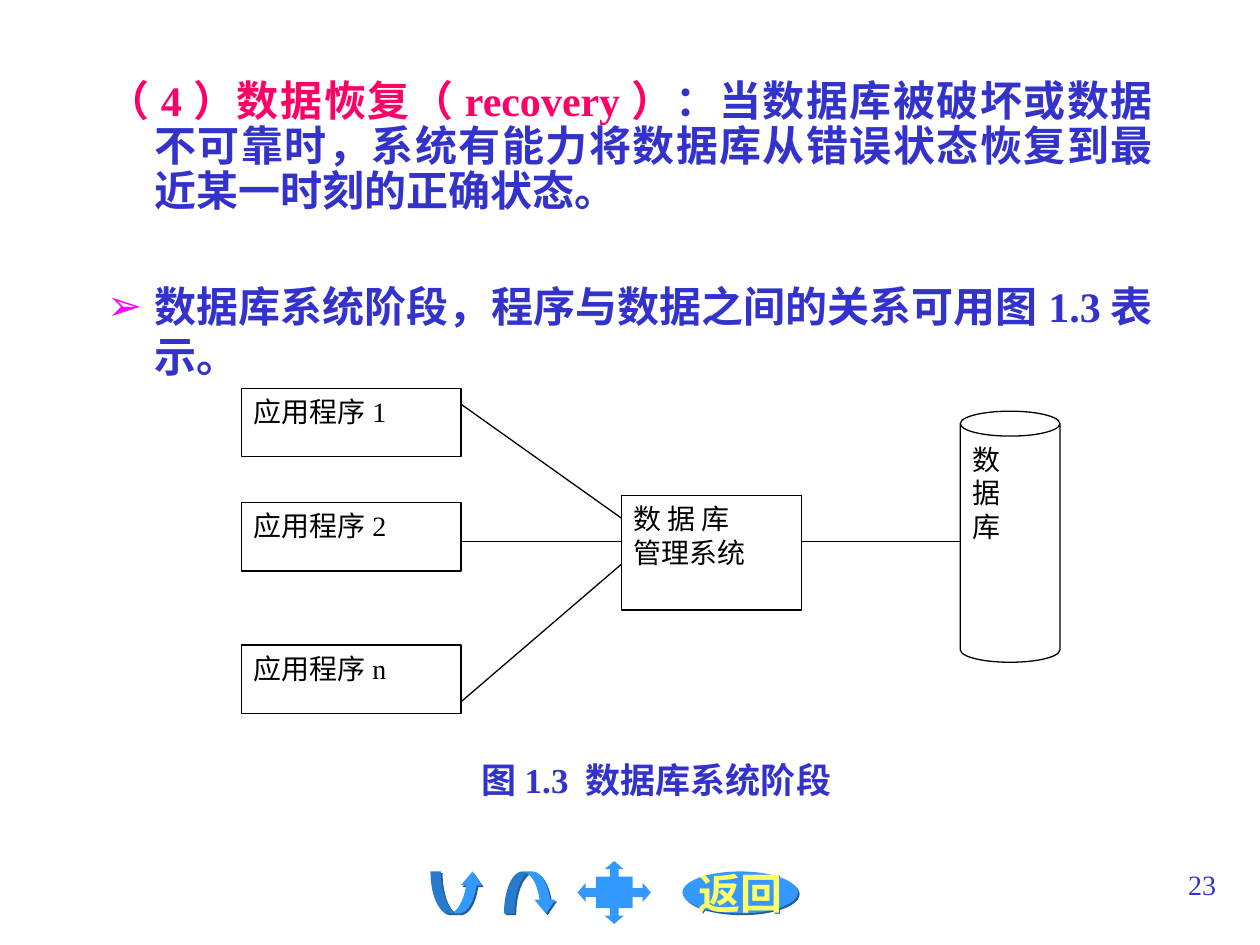
from lxml.etree import SubElement
from pptx import Presentation
from pptx.dml.color import RGBColor
from pptx.enum.shapes import MSO_CONNECTOR, MSO_SHAPE as Preset
from pptx.enum.text import MSO_ANCHOR as Anchor, MSO_AUTO_SIZE as AutoSize, PP_ALIGN as Align
from pptx.oxml.ns import qn
from pptx.util import Pt

COLORS = {"text": "3333CC", "term": "FF0066", "bullet": "FF00FF", "button": "3399FF",
          "shadow": "1F5C99", "label": "FFFF66", "line": "000000"}


def add_text(para, text, size=16, color="line", bold=False, align=Align.JUSTIFY):
    para.alignment = align
    span = para.add_run()
    span.text = text
    span.font.name = "Times New Roman"
    span.font.size = Pt(size)
    span.font.bold = bold
    span.font.color.rgb = RGBColor.from_string(COLORS[color])


def add_box(preset, left, top, width, height, lines=()):
    box = page.shapes.add_shape(preset, Pt(left), Pt(top), Pt(width), Pt(height))
    box.shadow.inherit = False
    box.fill.background()
    box.line.color.rgb = RGBColor.from_string(COLORS["line"])
    box.line.width = Pt(0.75)
    frame = box.text_frame
    frame.word_wrap = True
    frame.vertical_anchor = Anchor.TOP
    for index, line in enumerate(lines):
        add_text(frame.add_paragraph() if index else frame.paragraphs[0], line)
    return box


deck = Presentation()
deck.slide_width, deck.slide_height = Pt(720), Pt(540)
page = deck.slides.add_slide(deck.slide_layouts[1])
page.shapes.title.element.getparent().remove(page.shapes.title.element)

# Body text: definition, bulleted remark and figure caption
body = page.placeholders[1]
body.left, body.top, body.width, body.height = Pt(54), Pt(42), Pt(612), Pt(438)
frame = body.text_frame
frame.auto_size = AutoSize.NONE
frame.vertical_anchor = Anchor.TOP
paragraphs = [
    # spans, size, alignment, left margin, indent, space before, line spacing, bullet
    ([("（4）数据恢复（recovery）", "term"),
      ("：当数据库被破坏或数据不可靠时，系统有能力将数据库从错误状态恢复到最近某一时刻的正确状态。", "text")],
     24, Align.JUSTIFY, 27, -27, 6, 0.9, None),
    ([("数据库系统阶段，程序与数据之间的关系可用图1.3表示。", "text")],
     24, Align.JUSTIFY, 27, -27, 37, 1, "➢"),
    ([("图1.3 数据库系统阶段", "text")], 20, Align.CENTER, 30, 0, 218, 0.9, None),
]
for index, (spans, size, align, margin, indent, before, spacing, bullet) in enumerate(paragraphs):
    para = frame.add_paragraph() if index else frame.paragraphs[0]
    para.space_before = Pt(before)
    para.line_spacing = spacing
    for text, color in spans:
        add_text(para, text, size, color, True, align)
    props = para._p.get_or_add_pPr()
    props.set("marL", str(Pt(margin)))
    props.set("indent", str(Pt(indent)))
    if bullet:
        bullet_color = SubElement(props, qn("a:buClr"))
        SubElement(bullet_color, qn("a:srgbClr"), val=COLORS["bullet"])
        SubElement(props, qn("a:buChar"), char=bullet)
    else:
        SubElement(props, qn("a:buNone"))

# Application programs, database management system and database
for name, top in (("1", 222), ("2", 287.3), ("n", 368.6)):
    add_box(Preset.FLOWCHART_PROCESS, 138, top, 125.5, 39, ["应用程序" + name])
add_box(Preset.RECTANGLE, 355, 283, 103, 65.5, ["数 据 库", "管理系统"])
database = add_box(Preset.CAN, 548.7, 235, 57, 143.5, "数据库")
database.adjustments[0] = 0.25

# Links between the boxes
for x1, y1, x2, y2 in ((263.5, 231, 355, 296), (263.5, 309.5, 355, 309.5),
                       (263.5, 401, 355, 322.5), (458, 309.5, 548.7, 309.5)):
    link = page.shapes.add_connector(MSO_CONNECTOR.STRAIGHT, Pt(x1), Pt(y1), Pt(x2), Pt(y2))
    link.line.color.rgb = RGBColor.from_string(COLORS["line"])
    link.line.width = Pt(0.75)
    SubElement(link._element.spPr, qn("a:effectLst"))

# Navigation buttons
curve = (0.25, 0.5, 0.33)
buttons = [
    # preset, left, top, width, height, adjustments, shadow, label
    (Preset.CURVED_UP_ARROW, 246, 498, 30, 24, curve, True, ""),
    (Preset.CURVED_DOWN_ARROW, 288, 498, 30, 24, curve, True, ""),
    (Preset.QUAD_ARROW_CALLOUT, 330, 492, 42, 36, (0.14, 0.15, 0.13, 0.5), False, ""),
    (Preset.OVAL, 390, 498, 66, 24, (), True, "返回"),
]
for preset, left, top, width, height, adjustments, shadow, label in buttons:
    button = add_box(preset, left, top, width, height)
    button.fill.solid()
    button.fill.fore_color.rgb = RGBColor.from_string(COLORS["button"])
    button.line.fill.background()
    for index, value in enumerate(adjustments):
        button.adjustments[index] = value
    if shadow:
        effects = button._element.spPr.find(qn("a:effectLst"))
        outer = SubElement(effects, qn("a:outerShdw"), dist=str(Pt(1.4)), dir="2700000",
                           algn="ctr", rotWithShape="0")
        SubElement(outer, qn("a:srgbClr"), val=COLORS["shadow"])
    if label:
        button.text_frame.word_wrap = False
        button.text_frame.vertical_anchor = Anchor.MIDDLE
        add_text(button.text_frame.paragraphs[0], label, 24, "label", True, Align.CENTER)

# Page number
number = page.shapes.add_textbox(Pt(552), Pt(492), Pt(150), Pt(36))
number.text_frame.word_wrap = True
add_text(number.text_frame.paragraphs[0], "23", 16, "text", align=Align.RIGHT)

deck.save("out.pptx")
